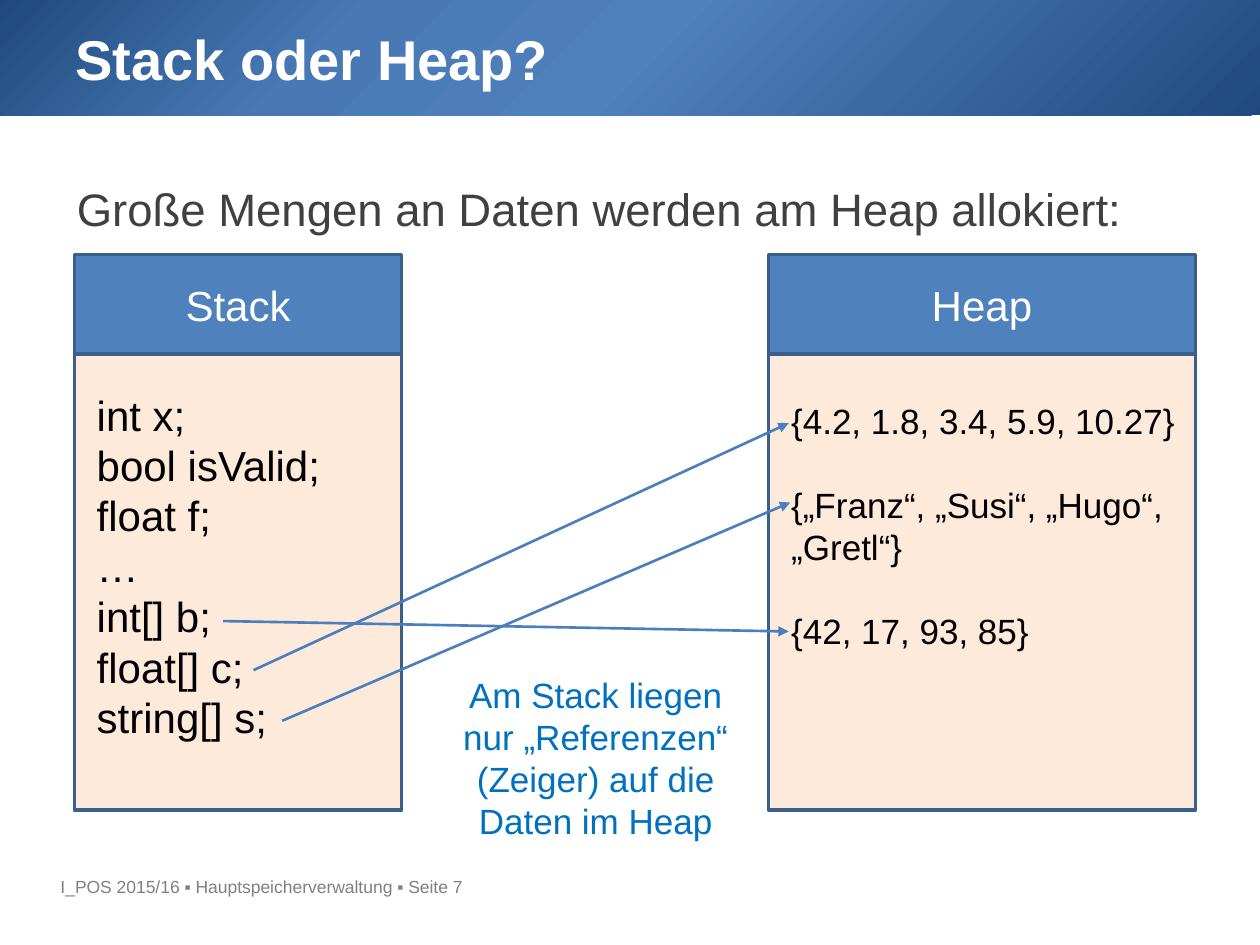
from dataclasses import dataclass

import pptx
import pptx.dml.color
import pptx.enum.shapes
import pptx.enum.text
import pptx.oxml
import pptx.util
from pptx.util import Cm, Pt

ALIGN = pptx.enum.text.PP_ALIGN
ANCHOR = pptx.enum.text.MSO_ANCHOR
RECT = pptx.enum.shapes.MSO_SHAPE.RECTANGLE
STRAIGHT = pptx.enum.shapes.MSO_CONNECTOR.STRAIGHT
NS = 'xmlns:a="http://schemas.openxmlformats.org/drawingml/2006/main"'
FONT = "Arial"
HEAD_TOP, HEAD_HEIGHT, BODY_HEIGHT = 5.13, 2.01, 9.19


@dataclass
class Box:
    """Position and size in centimetres."""
    left: float
    top: float
    width: float
    height: float

    def emu(self) -> tuple:
        return Cm(self.left), Cm(self.top), Cm(self.width), Cm(self.height)


@dataclass
class Label:
    box: Box
    lines: list[str]
    size: int
    color: str
    bold: bool = False
    align: ALIGN = ALIGN.LEFT
    gap: int = 0


@dataclass
class Memory:
    name: str
    left: float
    width: float


@dataclass
class Arrow:
    x1: float
    y1: float
    x2: float
    y2: float


MEMORIES = [Memory("Stack", 1.5, 6.6), Memory("Heap", 15.49, 8.61)]

LABELS = [
    Label(Box(0.97, 17.53, 9.53, 0.84),
          ["I_POS 2015/16 ▪ Hauptspeicherverwaltung ▪ Seite 7"], 10, "808080"),
    Label(Box(1.27, 0.36, 22.86, 3.18), ["Stack oder Heap?"], 32, "FFFFFF", bold=True),
    Label(Box(1.3, 3.53, 22.81, 13),
          ["Große Mengen an Daten werden am Heap allokiert:"], 26, "404040"),
]

CONTENTS = [
    Label(Box(1.7, 7.72, 6.2, 8),
          ["int x;", "bool isValid;", "float f;", "…", "int[] b;", "float[] c;", "string[] s;"],
          24, "000000"),
    Label(Box(15.7, 7.92, 8.79, 5.38),
          ["{4.2, 1.8, 3.4, 5.9, 10.27}", "{„Franz“, „Susi“, „Hugo“, „Gretl“}", "{42, 17, 93, 85}"],
          20, "000000", gap=24),
    Label(Box(8.71, 13.46, 6.6, 3.68),
          ["Am Stack liegen nur „Referenzen“ (Zeiger) auf die Daten im Heap"],
          20, "0070C0", align=ALIGN.CENTER),
]

ARROWS = [
    Arrow(4.5, 12.52, 15.9, 12.73),
    Arrow(5.11, 13.51, 15.9, 8.53),
    Arrow(5.69, 14.53, 15.93, 10.13),
]


def rgb(value: str) -> pptx.dml.color.RGBColor:
    return pptx.dml.color.RGBColor.from_string(value)


def style(p, size: int, color: str, bold: bool, align) -> None:
    p.alignment = align
    p.line_spacing = Pt(size * 1.2)
    p.font.name = FONT
    p.font.size = Pt(size)
    p.font.bold = bold
    p.font.color.rgb = rgb(color)


def add_label(s, label: Label) -> None:
    tf = s.shapes.add_textbox(*label.box.emu()).text_frame
    tf.word_wrap = True
    for i, line in enumerate(label.lines):
        p = tf.add_paragraph() if i else tf.paragraphs[0]
        p.text = line
        style(p, label.size, label.color, label.bold, label.align)
        if i and label.gap:
            p.space_before = Pt(label.gap)


def add_rect(s, box: Box, fill: str, text: str = "") -> None:
    sp = s.shapes.add_shape(RECT, *box.emu())
    sp.shadow.inherit = False
    sp.fill.solid()
    sp.fill.fore_color.rgb = rgb(fill)
    sp.line.color.rgb = rgb("3A5F8C")
    sp.line.width = Pt(2)
    if text:
        tf = sp.text_frame
        tf.vertical_anchor = ANCHOR.MIDDLE
        tf.text = text
        style(tf.paragraphs[0], 24, "FFFFFF", False, ALIGN.CENTER)


def add_band(s) -> None:
    """Draw the title band with its radial gradient."""
    sp = s.shapes.add_shape(RECT, *Box(-0.03, -0.03, 25.7, 2.36).emu())
    sp.shadow.inherit = False
    sp.line.fill.background()
    stops = [(0, "1F497D"), (27, "4879B4"), (50, "4F81BD"), (100, "1F497D")]
    gs = "".join(f'<a:gs pos="{pos * 1000}"><a:srgbClr val="{color}"/></a:gs>'
                 for pos, color in stops)
    grad = pptx.oxml.parse_xml(
        f'<a:gradFill {NS} rotWithShape="1"><a:gsLst>{gs}</a:gsLst><a:path path="circle">'
        '<a:fillToRect r="100000" b="100000"/></a:path></a:gradFill>')
    sp._element.spPr.prstGeom.addnext(grad)


def add_arrow(s, arrow: Arrow) -> None:
    cxn = s.shapes.add_connector(STRAIGHT, Cm(arrow.x1), Cm(arrow.y1), Cm(arrow.x2), Cm(arrow.y2))
    cxn.line.color.rgb = rgb("4B7EBC")
    cxn.line.width = Pt(1.5)
    cxn.line._get_or_add_ln().append(pptx.oxml.parse_xml(f'<a:tailEnd {NS} type="triangle"/>'))
    cxn._element.spPr.append(pptx.oxml.parse_xml(f"<a:effectLst {NS}/>"))


def main() -> None:
    prs = pptx.Presentation()
    prs.slide_width, prs.slide_height = Cm(25.4), Cm(19.05)
    s = prs.slides.add_slide(prs.slide_layouts[6])
    add_band(s)
    for label in LABELS:
        add_label(s, label)
    for m in MEMORIES:
        add_rect(s, Box(m.left, HEAD_TOP, m.width, HEAD_HEIGHT), "4F81BD", m.name)
        add_rect(s, Box(m.left, HEAD_TOP + HEAD_HEIGHT, m.width, BODY_HEIGHT), "FDEADA")
    for label in CONTENTS:
        add_label(s, label)
    for arrow in ARROWS:
        add_arrow(s, arrow)
    prs.save("out.pptx")


if __name__ == "__main__":
    main()
